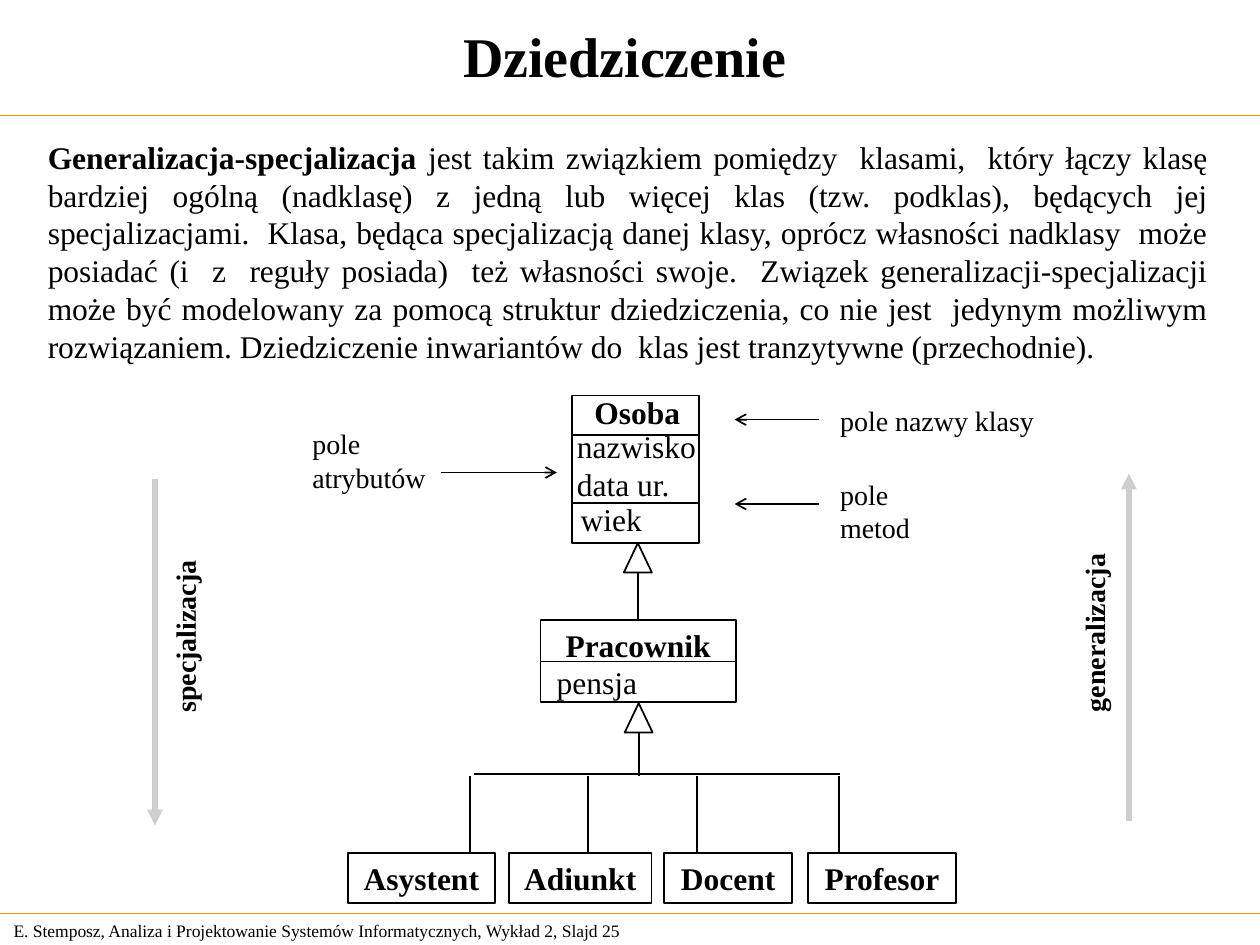
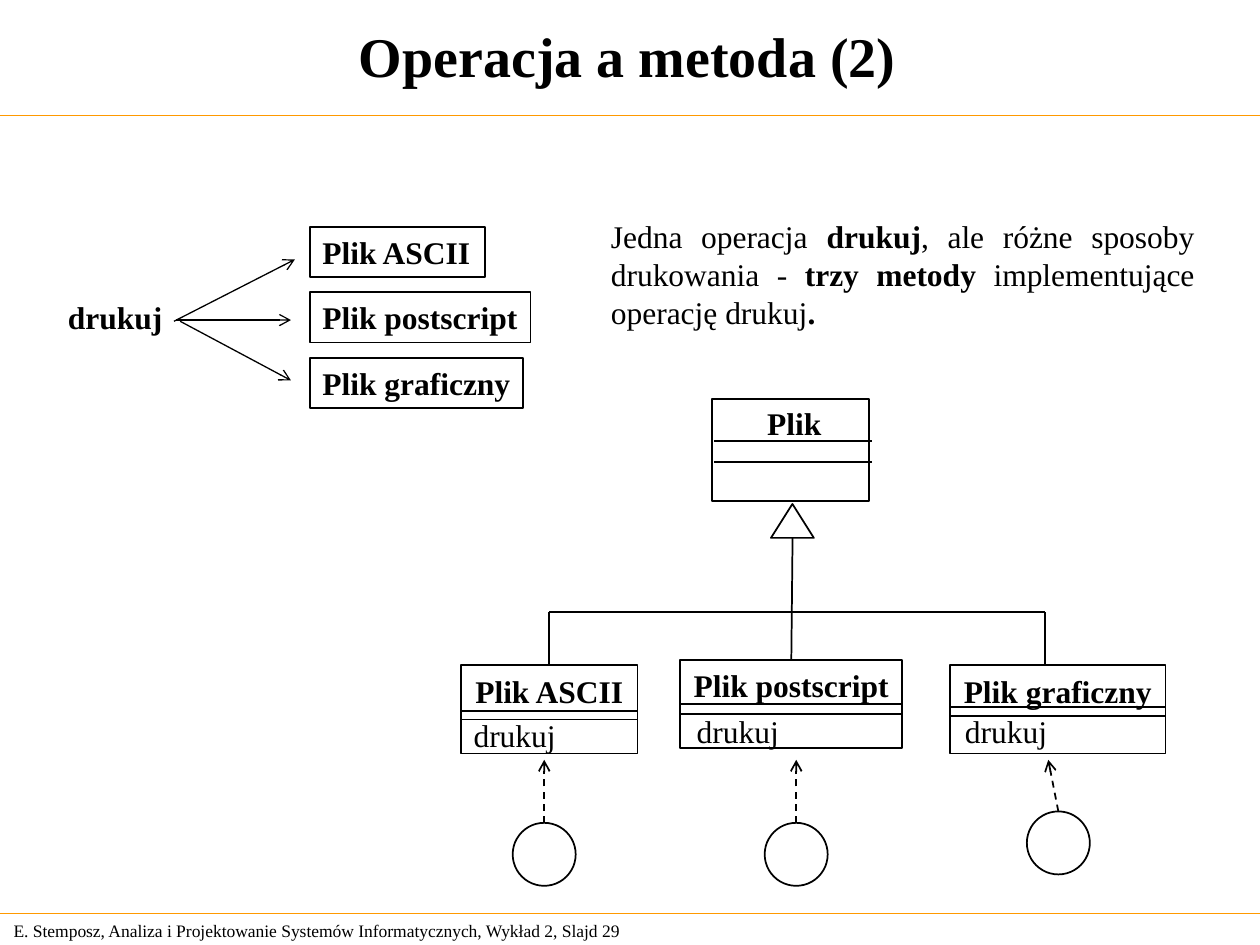
from dataclasses import dataclass
from lxml.etree import SubElement
from pptx import Presentation
from pptx.dml.color import RGBColor
from pptx.enum.dml import MSO_LINE
from pptx.enum.shapes import MSO_CONNECTOR, MSO_SHAPE
from pptx.enum.text import MSO_ANCHOR, MSO_AUTO_SIZE, PP_ALIGN
from pptx.oxml.ns import qn
from pptx.slide import Slide
from pptx.text.text import TextFrame
from pptx.util import Pt

HUES = {"ink": "000000", "rule": "FF9900", "trend": "CECECE"}
FONT = "Times New Roman"
LEFT, MID, JUST = PP_ALIGN.LEFT, PP_ALIGN.CENTER, PP_ALIGN.JUSTIFY
Run = tuple[str, bool]


@dataclass
class Box:
    """An outlined shape, with an optional bold name."""
    left: float
    top: float
    width: float
    height: float
    name: str = ""
    kind: MSO_SHAPE = MSO_SHAPE.RECTANGLE
    align: PP_ALIGN = MID
    wrap: bool = True


@dataclass
class Note:
    """A free text, one string for each line."""
    left: float
    top: float
    width: float
    height: float
    lines: tuple[str, ...]
    size: int = 18
    bold: bool = False
    turn: int = 0


@dataclass
class Wire:
    """A straight line, with an optional head at its end."""
    x1: float
    y1: float
    x2: float
    y2: float
    head: str = ""
    hue: str = "ink"
    weight: float = 1
    dash: bool = False


@dataclass
class Kid:
    """A subclass with two bars, a method and an object ring."""
    name: str
    left: float
    top: float
    width: float
    bars: tuple[float, float]
    verb: tuple[float, float]
    ring: tuple[float, float]
    tip: float


def paint(frame: TextFrame, rows: list[list[Run]], size: int, align: PP_ALIGN = LEFT) -> None:
    """Fill a frame with rows of runs."""
    for i, row in enumerate(rows):
        para = frame.add_paragraph() if i else frame.paragraphs[0]
        para.alignment = align
        for text, bold in row:
            run = para.add_run()
            run.text = text
            run.font.name = FONT
            run.font.size = Pt(size)
            run.font.bold = bold
            run.font.color.rgb = RGBColor.from_string(HUES["ink"])


def fit(frame: TextFrame, wrap: bool = True) -> None:
    """Set the wrap of a frame; a frame without wrap hugs its text."""
    frame.word_wrap = wrap
    frame.auto_size = MSO_AUTO_SIZE.NONE if wrap else MSO_AUTO_SIZE.SHAPE_TO_FIT_TEXT


def draw_box(slide: Slide, box: Box) -> None:
    """Draw an outlined shape."""
    shape = slide.shapes.add_shape(
        box.kind, Pt(box.left), Pt(box.top), Pt(box.width), Pt(box.height))
    shape.shadow.inherit = False
    shape.fill.background()
    shape.line.color.rgb = RGBColor.from_string(HUES["ink"])
    shape.line.width = Pt(1)
    if box.name:
        frame = shape.text_frame
        frame.vertical_anchor = MSO_ANCHOR.TOP
        fit(frame, box.wrap)
        paint(frame, [[(box.name, True)]], 18, box.align)


def draw_note(slide: Slide, note: Note) -> None:
    """Draw a free text."""
    shape = slide.shapes.add_textbox(
        Pt(note.left), Pt(note.top), Pt(note.width), Pt(note.height))
    shape.rotation = note.turn
    fit(shape.text_frame)
    paint(shape.text_frame, [[(line, note.bold)] for line in note.lines], note.size)


def draw_wire(slide: Slide, wire: Wire) -> None:
    """Draw a straight line."""
    link = slide.shapes.add_connector(
        MSO_CONNECTOR.STRAIGHT, Pt(wire.x1), Pt(wire.y1), Pt(wire.x2), Pt(wire.y2))
    link.line.color.rgb = RGBColor.from_string(HUES[wire.hue])
    link.line.width = Pt(wire.weight)
    if wire.dash:
        link.line.dash_style = MSO_LINE.DASH
    props = link.element.spPr
    if wire.head:
        SubElement(props.find(qn("a:ln")), qn("a:tailEnd"), type=wire.head)
    SubElement(props, qn("a:effectLst"))


def draw_all(slide: Slide, parts: list) -> None:
    """Draw each part with the function for its type."""
    tools = {Box: draw_box, Note: draw_note, Wire: draw_wire}
    for part in parts:
        tools[type(part)](slide, part)


def draw_prose(slide: Slide, left: float, top: float, width: float,
               height: float, runs: list[Run]) -> None:
    """Draw a justified paragraph."""
    shape = slide.shapes.add_textbox(Pt(left), Pt(top), Pt(width), Pt(height))
    fit(shape.text_frame)
    paint(shape.text_frame, [runs], 18, JUST)


def start(deck: Presentation, name: str, width: float, page: int) -> Slide:
    """Add a slide with its title, rules and footer."""
    slide = deck.slides.add_slide(deck.slide_layouts[5])
    title = slide.shapes.title
    title.left, title.top, title.width, title.height = Pt(0), Pt(0.7), Pt(width), Pt(61.2)
    title.text_frame.vertical_anchor = MSO_ANCHOR.MIDDLE
    fit(title.text_frame)
    paint(title.text_frame, [[(name, True)]], 32, MID)
    for y in (66.2, 522):
        draw_wire(slide, Wire(0, y, 720, y, hue="rule", weight=0.75))
    foot = f"E. Stemposz, Analiza i Projektowanie Systemów Informatycznych, Wykład 2, Slajd {page}"
    draw_note(slide, Note(0.7, 522, 385, 19.4, (foot,), 10))
    return slide


def build_tree(deck: Presentation) -> None:
    """Build the slide on inheritance."""
    slide = start(deck, "Dziedziczenie", 714.2, 25)
    draw_prose(slide, 20.2, 75.2, 677.5, 136.8, [
        ("Generalizacja-specjalizacja ", True),
        ("jest takim związkiem pomiędzy  klasami,  który łączy klasę bardziej ogólną "
         "(nadklasę) z jedną lub więcej klas (tzw. podklas), będących jej specjalizacjami.  "
         "Klasa, będąca specjalizacją danej klasy, oprócz własności nadklasy  może posiadać "
         "(i  z  reguły posiada)  też własności swoje.  Związek generalizacji-specjalizacji "
         "może być modelowany za pomocą struktur dziedziczenia, co nie jest  jedynym możliwym "
         "rozwiązaniem. Dziedziczenie inwariantów do  klas jest tranzytywne (przechodnie).", False)])
    draw_all(slide, [
        Wire(645.1, 469.4, 645.1, 270.7, "triangle", "trend", 3),
        Wire(88.6, 273.6, 88.6, 471.6, "triangle", "trend", 3),
        Note(569.1, 344.5, 112.4, 26.6, ("generalizacja",), 16, True, 270),
        Note(51.4, 346.6, 108.8, 26.6, ("specjalizacja",), 16, True, 270),
        Box(326.9, 226.1, 72.7, 84.2),
        Wire(327.6, 248.4, 399.6, 248.4),
        Wire(327.6, 287.3, 399.6, 287.3),
        Note(332.6, 221, 72, 28.8, ("Osoba",), bold=True),
        Note(322.6, 240.5, 90, 50.4, ("nazwisko", "data ur.")),
        Note(324.7, 282.2, 58, 28.8, ("wiek",)),
        Note(171.4, 240.5, 88, 45.4, ("pole", "atrybutów"), 16),
        Note(473, 226.8, 134, 25.9, ("pole nazwy klasy",), 16),
        Note(473, 269.3, 62, 45.4, ("pole", "metod"), 16),
        Wire(252, 270, 318.2, 270, "arrow"),
        Wire(468, 239.8, 419.8, 239.8, "arrow"),
        Wire(468, 288, 419.8, 288, "arrow"),
        Box(308.9, 354.2, 111.6, 46.8, "Pracownik"),
        Wire(308.9, 378, 420.5, 378),
        Note(311, 375.1, 70, 28.8, ("pensja",)),
        Wire(270.7, 442.1, 480.2, 442.1)])
    for x, top, end in ((364.5, 310.3, 354.2), (365, 401.8, 443.5)):
        draw_all(slide, [Box(x - 8, top, 16, 16.8, kind=MSO_SHAPE.ISOSCELES_TRIANGLE),
                         Wire(x, top + 16.8, x, end)])
    for name, left, width, x in (("Asystent", 198.7, 84.2, 268.6), ("Adiunkt", 290.9, 81.4, 336.2),
                                 ("Docent", 379.4, 73.4, 398.2), ("Profesor", 461.5, 85, 479.5)):
        draw_all(slide, [Box(left, 487.4, width, 28.8, name), Wire(x, 443.5, x, 487.4)])


def build_files(deck: Presentation) -> None:
    """Build the slide on operations and methods."""
    slide = start(deck, "Operacja a metoda (2)", 717.1, 29)
    draw_prose(slide, 342, 120.5, 347.8, 72, [
        ("Jedna operacja ", False), ("drukuj", True), (", ale różne sposoby drukowania - ", False),
        ("trzy metody", True), (" implementujące operację drukuj", False), (".", True)])
    kids = [
        Kid("Plik ASCII", 263.5, 380.2, 100.8, (406.1, 411.1), (263.5, 405.4), (293, 470.2), 311),
        Kid("Plik postscript", 388.8, 377.3, 126.7, (402.5, 408.2), (391, 403.2), (437, 470.2), 455),
        Kid("Plik graficzny", 542.9, 380.2, 123.1, (403.9, 409), (544.3, 403.2), (586.8, 463.7), 599)]
    draw_note(slide, Note(31.7, 167, 76, 28.8, ("drukuj",), bold=True))
    sides = ((100.1, 99.4, 183.6, 168.5, 148.3), (126, 100.8, 182.9, 166.3, 182.9),
             (121.7, 103, 183.6, 166.3, 217.4))
    for i, (kid, (width, x1, y1, x2, y2)) in enumerate(zip(kids, sides)):
        draw_all(slide, [
            Box(177.1, 129.6 + 37.4 * i, width, 28.8, kid.name, align=LEFT, wrap=False),
            Wire(x1, y1, x2, y2, "arrow", weight=0.75)])
    draw_all(slide, [
        Box(406.8, 228.2, 90, 58.3),
        Note(431.3, 227.5, 54, 28.8, ("Plik",), bold=True),
        Wire(408.2, 252, 498.2, 252),
        Wire(408.2, 264.2, 498.2, 264.2),
        Box(440.6, 288, 24.5, 19.4, kind=MSO_SHAPE.ISOSCELES_TRIANGLE),
        Wire(452.9, 307.4, 452.2, 376.6),
        Wire(313.9, 349.9, 597, 349.9),
        Wire(313.9, 349.9, 313.9, 380.2),
        Wire(597, 349.9, 597, 380.2)])
    for kid in kids:
        x, y = kid.ring
        draw_all(slide, [
            Box(kid.left, kid.top, kid.width, 50.4, kid.name),
            *(Wire(kid.left, bar, kid.left + kid.width, bar) for bar in kid.bars),
            Note(*kid.verb, 70, 28.8, ("drukuj",)),
            Box(x, y, 36, 36, kind=MSO_SHAPE.OVAL),
            Wire(x + 18, y, kid.tip, 434.2, "arrow", dash=True)])


def main() -> None:
    """Build and save the deck."""
    deck = Presentation()
    deck.slide_width, deck.slide_height = Pt(720), Pt(540)
    build_tree(deck)
    build_files(deck)
    deck.save("out.pptx")


if __name__ == "__main__":
    main()
